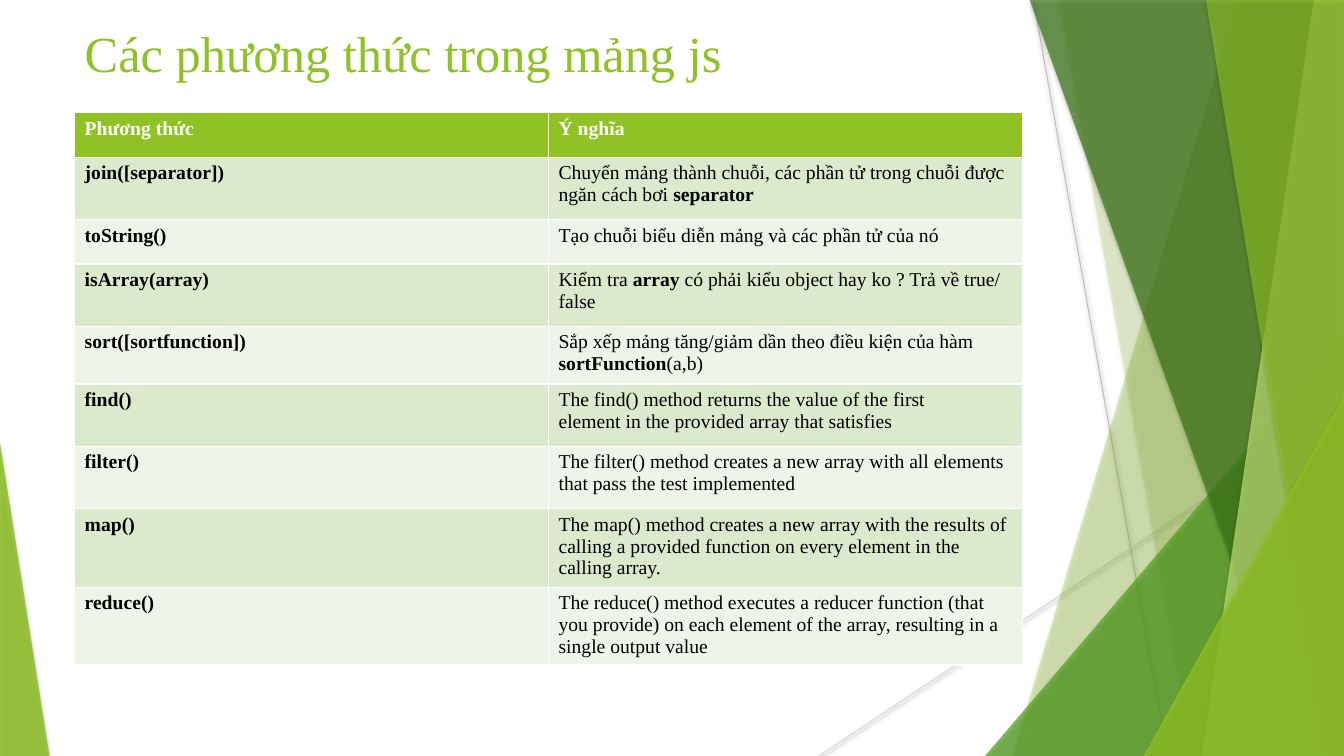
from lxml import etree
from pptx import Presentation, util as u
from pptx.dml.color import RGBColor
from pptx.enum import shapes, text
from pptx.oxml.ns import qn

FONT = "Times New Roman"
GREEN, WHITE, BLACK = "90C226", "FFFFFF", "000000"
BAND_DARK, BAND_LIGHT = "DBE9CC", "EEF4E7"
NO_BREAK_SPACE = chr(160)
TOP, BOTTOM, RIGHT = -0.01, 7.5, 13.33

# Asterisks enclose bold words; a tilde stands for a no-break space.
METHODS = [
    ("join([separator])", 0.62,
     "Chuyển mảng thành chuỗi, các phần tử trong chuỗi được ngăn cách bơi *separator*"),
    ("toString()", 0.44, "Tạo chuỗi biểu diễn mảng và các phần tử của nó"),
    ("isArray(array)", 0.62,
     "Kiểm tra *array* có phải kiểu object hay ko ? Trả về true/ false"),
    ("sort([sortfunction])", 0.57,
     "Sắp xếp mảng tăng/giảm dần theo điều kiện của hàm *sortFunction*(a,b)"),
    ("find()", 0.62,
     "The~find()~method returns the~value~of the~first element~in "
     "the provided array that satisfies"),
    ("filter()", 0.62,
     "The~filter()~method~creates a new array~with all elements "
     "that pass the test implemented"),
    ("map()", 0.78,
     "The~map()~method~creates a new array~with the results of calling "
     "a provided function on every element in the calling~array."),
    ("reduce()", 0.77,
     "The~reduce()~method executes a~reducer~function (that you provide) "
     "on each element of the array, resulting in a single output value"),
]


def color(hex_code):
    return RGBColor.from_string(hex_code)


def set_alpha(color_element, percent):
    etree.SubElement(color_element, qn("a:alpha"), val=str(percent * 1000))


def add_shadow(shape, opacity, blur, distance):
    """Give the shape a black shadow that falls straight down."""
    effects = etree.SubElement(shape._element.spPr, qn("a:effectLst"))
    shadow = etree.SubElement(
        effects, qn("a:outerShdw"), blurRad=str(u.Pt(blur)),
        dist=str(u.Pt(distance)), dir="5400000", algn="ctr", rotWithShape="0")
    set_alpha(etree.SubElement(shadow, qn("a:srgbClr"), val=BLACK), opacity)


def add_thin_line(slide, start, end, hex_code):
    points = [u.Inches(value) for value in (*start, *end)]
    line = slide.shapes.add_connector(shapes.MSO_CONNECTOR.STRAIGHT, *points)
    line.line.color.rgb = color(hex_code)
    line.line.width = u.Pt(0.75)
    add_shadow(line, 38, 3.1, 1.6)


def style_facet(shape, hex_code, opacity):
    shape.fill.solid()
    shape.fill.fore_color.rgb = color(hex_code)
    set_alpha(shape._element.spPr.find(qn("a:solidFill"))[0], opacity)
    shape.line.fill.background()
    add_shadow(shape, 35, 3, 2)


def add_edge_facet(slide, top_x, bottom_x, hex_code, opacity):
    """Fill the area between a slanted line and the right edge of the slide."""
    corners = [(top_x, TOP), (RIGHT, TOP), (RIGHT, BOTTOM), (bottom_x, BOTTOM)]
    points = [(u.Inches(x), u.Inches(y)) for x, y in corners]
    builder = slide.shapes.build_freeform(*points[0])
    builder.add_line_segments(points[1:], close=True)
    style_facet(builder.convert_to_shape(), hex_code, opacity)


def add_corner_triangle(slide, left, top, width, apex, hex_code, opacity):
    """Stand a right triangle on the bottom edge; apex is 0 (left) or 1 (right)."""
    triangle = slide.shapes.add_shape(
        shapes.MSO_SHAPE.ISOSCELES_TRIANGLE, u.Inches(left), u.Inches(top),
        u.Inches(width), u.Inches(BOTTOM - top))
    triangle.adjustments[0] = apex
    style_facet(triangle, hex_code, opacity)


def add_decoration(slide):
    add_thin_line(slide, (10.25, 0), (11.58, BOTTOM), "BFBFBF")
    add_thin_line(slide, (RIGHT, 4.03), (8.12, BOTTOM), "D9D9D9")
    add_edge_facet(slide, 12.28, 10.04, GREEN, 30)
    add_edge_facet(slide, 10.5, 11.82, GREEN, 20)
    add_corner_triangle(slide, 9.77, 3.33, 3.56, 1, "54A021", 72)
    add_edge_facet(slide, 10.21, 12.91, "3F7819", 70)
    add_edge_facet(slide, 13.03, 11.92, "C0E474", 70)
    add_edge_facet(slide, 11.96, 13.18, GREEN, 65)
    add_corner_triangle(slide, 11.34, 3.93, 1.99, 1, GREEN, 80)
    add_corner_triangle(slide, 0, 4.39, 0.49, 0, GREEN, 85)


def set_font(paragraph, size, hex_code):
    paragraph.font.name = FONT
    paragraph.font.size = u.Pt(size)
    paragraph.font.color.rgb = color(hex_code)


def set_title(slide, wording):
    title = slide.shapes.title
    title.left, title.top = u.Inches(0.74), u.Inches(0.15)
    title.width, title.height = u.Inches(9.4), u.Inches(0.74)
    title.text_frame.text = wording
    title.text_frame.vertical_anchor = text.MSO_ANCHOR.MIDDLE
    paragraph = title.text_frame.paragraphs[0]
    paragraph.alignment = text.PP_ALIGN.LEFT
    set_font(paragraph, 36, GREEN)


def fill_cell(cell, wording, fill, font_color=BLACK):
    cell.fill.solid()
    cell.fill.fore_color.rgb = color(fill)
    paragraph = cell.text_frame.paragraphs[0]
    set_font(paragraph, 14, font_color)
    for index, part in enumerate(wording.split("*")):
        if part:
            run = paragraph.add_run()
            run.text = part.replace("~", NO_BREAK_SPACE)
            run.font.bold = index % 2 == 1


def add_method_table(slide):
    heights = [0.44] + [height for _, height, _ in METHODS]
    table = slide.shapes.add_table(
        len(heights), 2, u.Inches(0.74), u.Inches(1.12),
        u.Inches(9.4), u.Inches(sum(heights))).table
    for row, height in zip(table.rows, heights):
        row.height = u.Inches(height)
    for column, heading in enumerate(("*Phương thức*", "*Ý nghĩa*")):
        fill_cell(table.cell(0, column), heading, GREEN, WHITE)
    for row, (method, _, meaning) in enumerate(METHODS, start=1):
        band = BAND_DARK if row % 2 else BAND_LIGHT
        fill_cell(table.cell(row, 0), f"*{method}*", band)
        fill_cell(table.cell(row, 1), meaning, band)


def main():
    presentation = Presentation()
    presentation.slide_width = u.Inches(RIGHT)
    presentation.slide_height = u.Inches(BOTTOM)
    slide = presentation.slides.add_slide(presentation.slide_layouts[5])
    add_decoration(slide)
    set_title(slide, "Các phương thức trong mảng js")
    add_method_table(slide)
    presentation.save("out.pptx")


if __name__ == "__main__":
    main()
